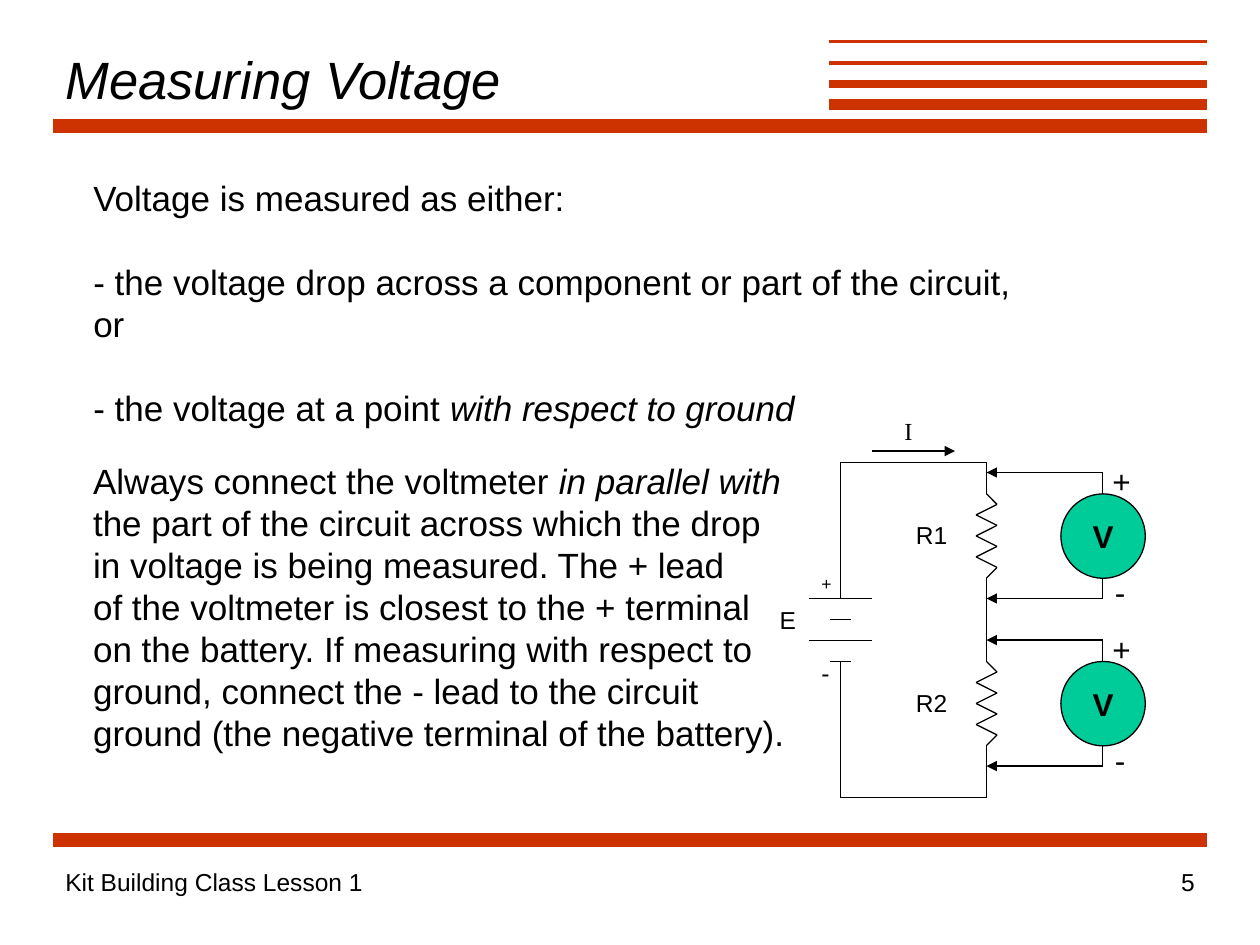
import itertools

import pptx
import pptx.dml.color
import pptx.enum.shapes
import pptx.enum.text
import pptx.oxml.ns
import pptx.util
from lxml import etree
from pptx.util import Inches

COLORS = {"rule": "CC3300", "ink": "000000", "meter": "00CC99"}
ALIGN = pptx.enum.text.PP_ALIGN
ANCHOR = pptx.enum.text.MSO_ANCHOR
STEP = 1 / 12
BATTERY_X = 6.67
RESISTOR_X = 7.83
METER_X = 8.75
TOP, BOTTOM = 3.67, 6.33
STAGE_HEIGHT = 1.33

HEADER_RULES = [(0.42, 1, 8), (6.58, 0.83, 6), (6.58, 0.67, 4.5),
                (6.58, 0.5, 2.25), (6.58, 0.33, 1.5), (0.42, 6.67, 8)]
WAYS = [
    [("Voltage is measured as either:", False)],
    [("- the voltage drop across a component or part of the circuit, or", False)],
    [("- the voltage at a point ", False), ("with respect to ground", True)],
]
ADVICE = [
    [("Always connect the voltmeter ", False), ("in parallel with", True)],
    [("the part of the circuit across which the drop", False)],
    [("in voltage is being measured. The + lead", False)],
    [("of the voltmeter is closest to the + terminal", False)],
    [("on the battery. If measuring with respect to", False)],
    [("ground, connect the - lead to the circuit", False)],
    [("ground (the negative terminal of the battery).", False)],
]


def color(name):
    return pptx.dml.color.RGBColor.from_string(COLORS[name])


def place(shape, left, top, width, height):
    shape.left, shape.top = Inches(left), Inches(top)
    shape.width, shape.height = Inches(width), Inches(height)


def add_run(paragraph, text, size, italic=False, bold=False, font="Arial"):
    run = paragraph.add_run()
    run.text = text
    run.font.name = font
    run.font.size = pptx.util.Pt(size)
    run.font.italic = italic
    run.font.bold = bold
    run.font.color.rgb = color("ink")


def add_line(slide, start, end, width=0.75, color_name="ink", arrow=False):
    line = slide.shapes.add_connector(
        pptx.enum.shapes.MSO_CONNECTOR.STRAIGHT,
        *(Inches(value) for value in (*start, *end)))
    line.line.width = pptx.util.Pt(width)
    line.line.color.rgb = color(color_name)
    if arrow:
        etree.SubElement(line.line._get_or_add_ln(),
                         pptx.oxml.ns.qn("a:tailEnd"), type="triangle")
    etree.SubElement(line._element.spPr, pptx.oxml.ns.qn("a:effectLst"))


def add_wire(slide, points):
    for start, end in itertools.pairwise(points):
        add_line(slide, start, end)


def add_label(slide, text, box, size=14, align=ALIGN.LEFT, font="Arial", wrap=False):
    shape = slide.shapes.add_textbox(*(Inches(value) for value in box))
    shape.text_frame.word_wrap = wrap
    paragraph = shape.text_frame.paragraphs[0]
    paragraph.alignment = align
    add_run(paragraph, text, size, font=font)


def fill_lines(text_frame, lines, gap=0):
    text_frame.word_wrap = False
    text_frame.vertical_anchor = ANCHOR.TOP
    for index, line in enumerate(lines):
        paragraph = text_frame.add_paragraph() if index else text_frame.paragraphs[0]
        paragraph.alignment = ALIGN.LEFT
        paragraph.line_spacing = pptx.util.Pt(24)
        paragraph.space_before = pptx.util.Pt(gap if index else 0)
        properties = paragraph._p.get_or_add_pPr()
        properties.set("marL", "0")
        properties.set("indent", "0")
        etree.SubElement(properties, pptx.oxml.ns.qn("a:buNone"))
        for text, italic in line:
            add_run(paragraph, text, 20, italic)


def add_title(slide):
    title = slide.shapes.title
    place(title, 0.42, 0.33, 6.17, 0.58)
    title.text_frame.vertical_anchor = ANCHOR.MIDDLE
    paragraph = title.text_frame.paragraphs[0]
    paragraph.alignment = ALIGN.LEFT
    add_run(paragraph, "Measuring Voltage", 30, italic=True)


def add_battery(slide):
    for index, half_width in enumerate((0.25, 0.08, 0.25, 0.08)):
        y = 4.75 + index * 2 * STEP
        add_line(slide, (BATTERY_X - half_width, y), (BATTERY_X + half_width, y))
    add_wire(slide, [(BATTERY_X, 4.75), (BATTERY_X, TOP), (RESISTOR_X, TOP)])
    add_wire(slide, [(BATTERY_X, 5.25), (BATTERY_X, BOTTOM), (RESISTOR_X, BOTTOM)])
    add_label(slide, "+", (6.42, 4.5, 0.28, 0.27), 10, ALIGN.CENTER)
    add_label(slide, "-", (6.42, 5.17, 0.26, 0.34), 14, ALIGN.CENTER)
    add_label(slide, "E", (6.09, 4.75, 0.33, 0.34))


def add_resistor(slide, name, top):
    zigzag_top = top + 0.25
    offsets = [0] + [STEP if turn % 2 else -STEP for turn in range(1, 8)] + [0]
    zigzag = [(RESISTOR_X + offset, zigzag_top + turn * STEP)
              for turn, offset in enumerate(offsets)]
    add_wire(slide, [(RESISTOR_X, top), *zigzag, (RESISTOR_X, top + STAGE_HEIGHT)])
    add_label(slide, name, (7.17, top + 0.41, 0.45, 0.34))


def add_voltmeter(slide, top):
    meter = slide.shapes.add_shape(
        pptx.enum.shapes.MSO_SHAPE.OVAL, Inches(METER_X - 0.33),
        Inches(top + 0.25), Inches(0.67), Inches(0.67))
    meter.shadow.inherit = False
    meter.fill.solid()
    meter.fill.fore_color.rgb = color("meter")
    meter.line.color.rgb = color("ink")
    meter.line.width = pptx.util.Pt(0.75)
    meter.text_frame.word_wrap = False
    meter.text_frame.vertical_anchor = ANCHOR.MIDDLE
    paragraph = meter.text_frame.paragraphs[0]
    paragraph.alignment = ALIGN.CENTER
    add_run(paragraph, "V", 18, bold=True)
    for lead, edge in ((top + 0.08, top + 0.25), (top + 1.08, top + 0.92)):
        add_line(slide, (METER_X, edge), (METER_X, lead))
        add_line(slide, (METER_X, lead), (RESISTOR_X, lead), arrow=True)
    add_label(slide, "+", (8.73, top - 0.05, 0.34, 0.4), 18)
    add_label(slide, "-", (8.75, top + 0.83, 0.28, 0.4), 18)


def add_circuit(slide):
    add_battery(slide)
    add_line(slide, (6.92, 3.58), (7.58, 3.58), arrow=True)
    add_label(slide, "I", (7.08, 3.25, 0.26, 0.34), font="Times New Roman")
    for index, name in enumerate(("R1", "R2")):
        top = TOP + index * STAGE_HEIGHT
        add_resistor(slide, name, top)
        add_voltmeter(slide, top)


def main():
    presentation = pptx.Presentation()
    presentation.slide_width, presentation.slide_height = Inches(10), Inches(7.5)
    slide = presentation.slides.add_slide(presentation.slide_layouts[1])
    for left, y, width in HEADER_RULES:
        add_line(slide, (left, y), (9.58, y), width, "rule")
    add_title(slide)
    add_circuit(slide)
    body = slide.placeholders[1]
    place(body, 0.64, 1.35, 7.81, 1.77)
    fill_lines(body.text_frame, WAYS, gap=24)
    advice = slide.shapes.add_textbox(Inches(0.64), Inches(3.6), Inches(5.69), Inches(2.44))
    fill_lines(advice.text_frame, ADVICE)
    add_label(slide, "Kit Building Class Lesson 1", (0.42, 6.83, 6.92, 0.5), wrap=True)
    add_label(slide, "5", (7.5, 6.83, 2.08, 0.5), align=ALIGN.RIGHT, wrap=True)
    presentation.save("out.pptx")


if __name__ == "__main__":
    main()
